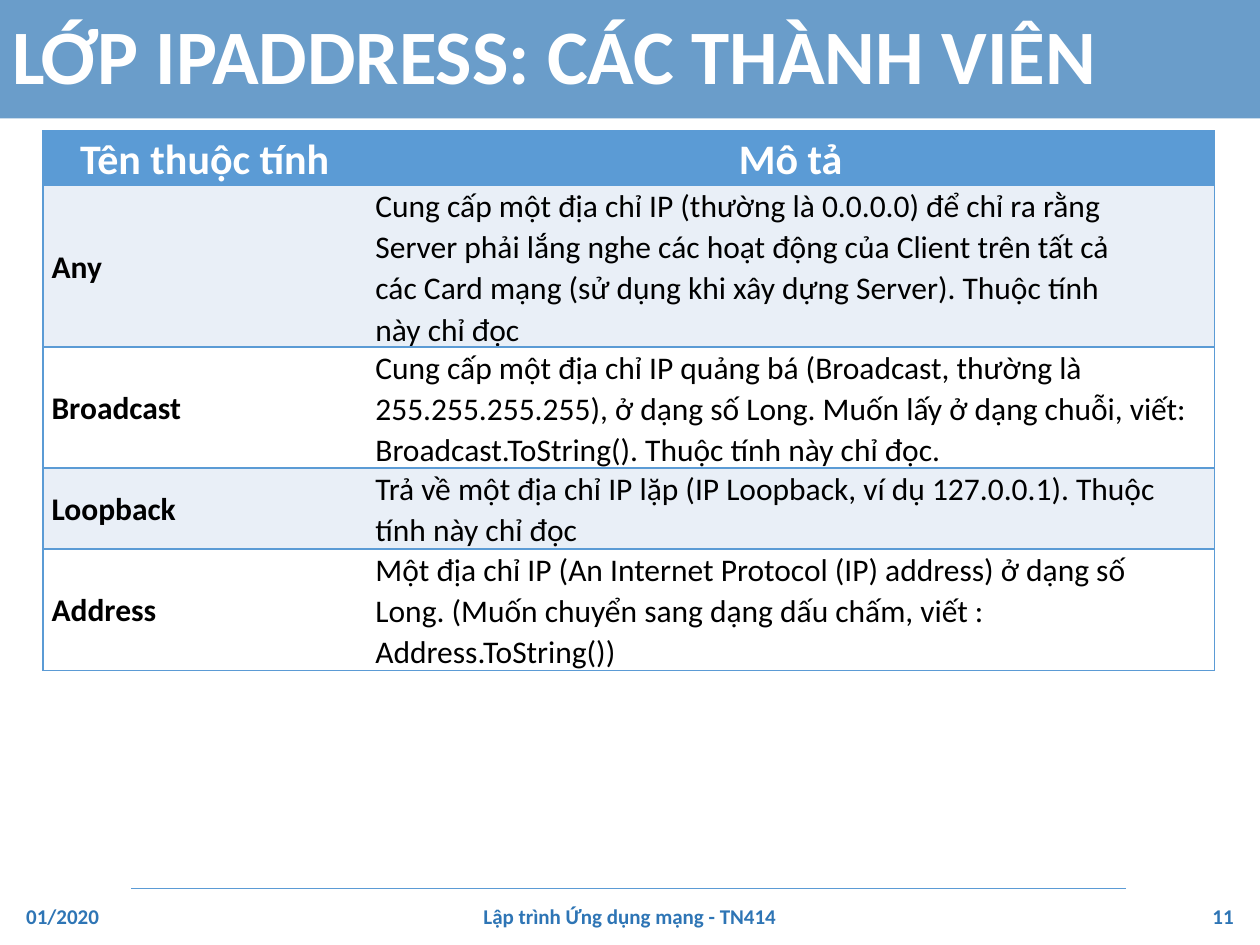
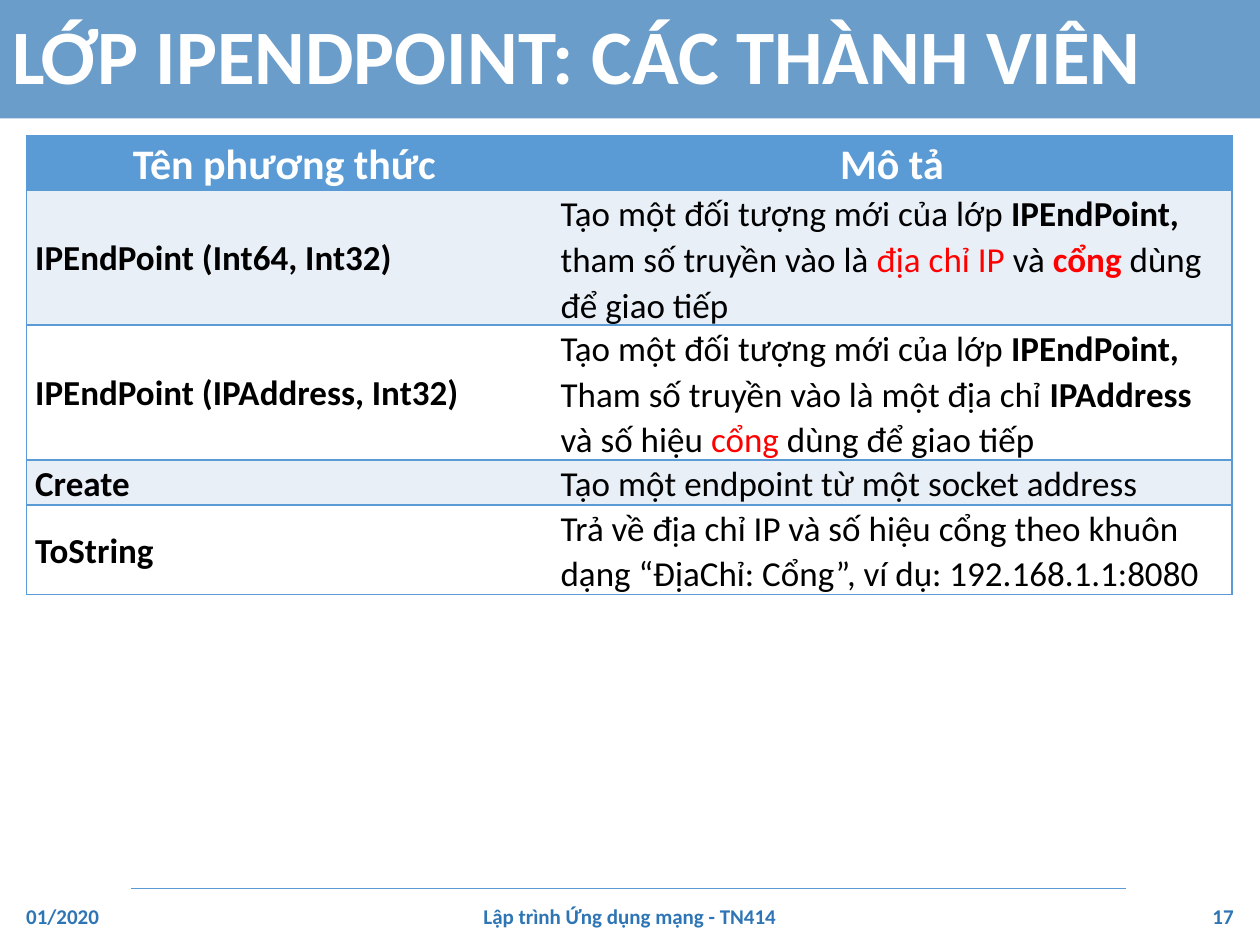
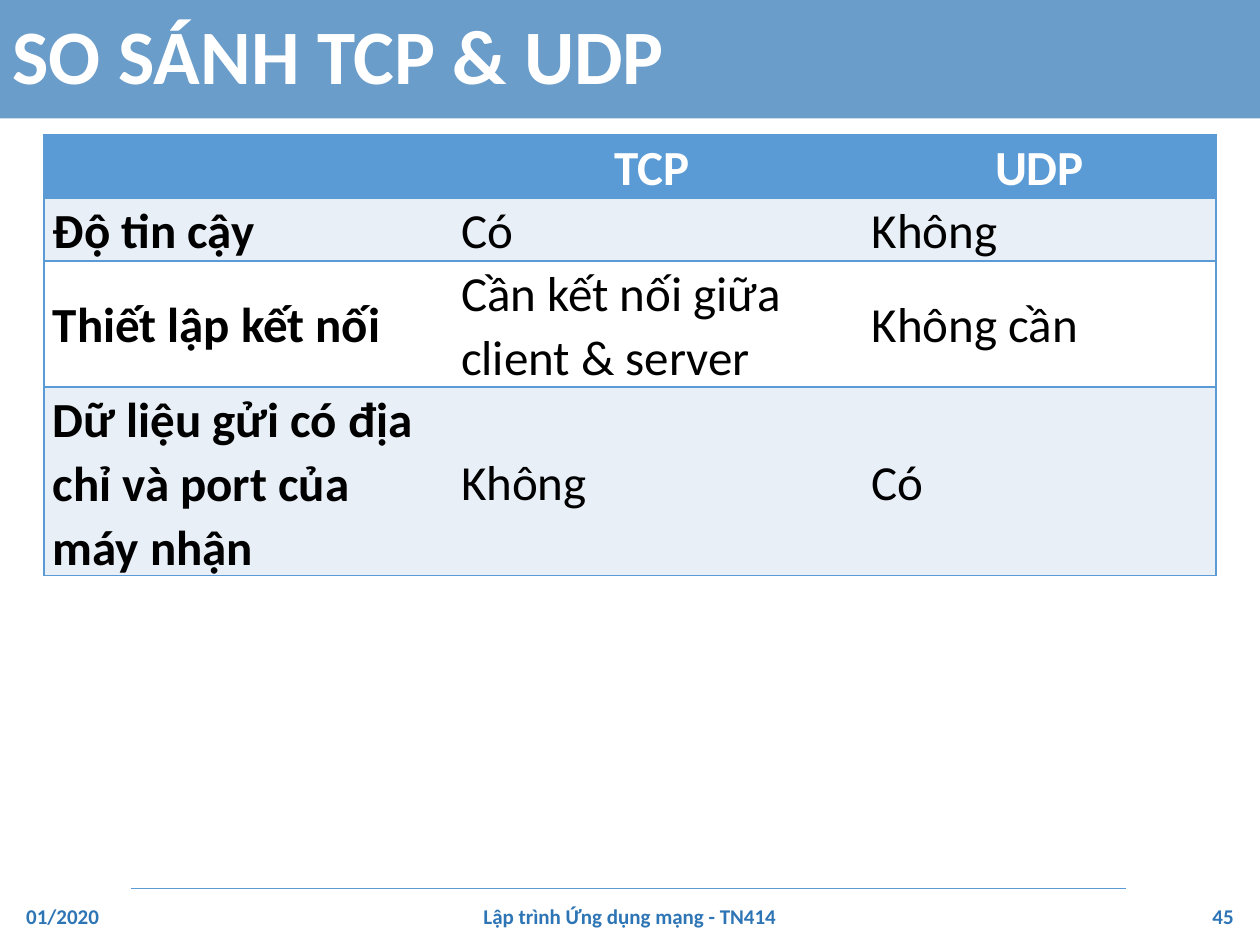
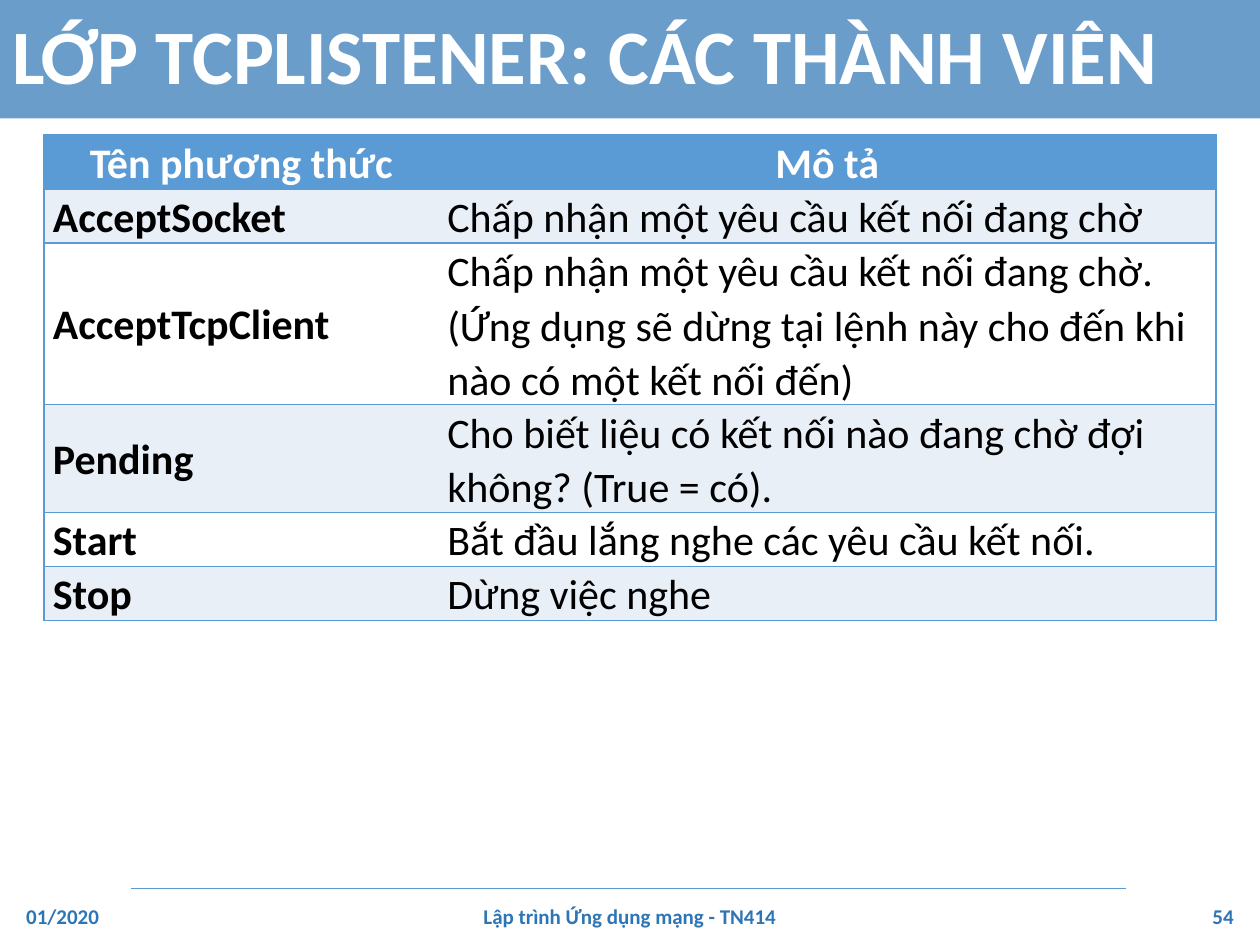
from lxml import etree
from pptx import Presentation
from pptx.dml.color import RGBColor
from pptx.enum.shapes import MSO_CONNECTOR
from pptx.enum.text import MSO_ANCHOR, MSO_AUTO_SIZE, PP_ALIGN
from pptx.oxml.ns import qn
from pptx.util import Inches, Pt

LEFT, CENTER, RIGHT = PP_ALIGN.LEFT, PP_ALIGN.CENTER, PP_ALIGN.RIGHT
MIDDLE = MSO_ANCHOR.MIDDLE
NO_FIT = MSO_AUTO_SIZE.NONE
STRAIGHT = MSO_CONNECTOR.STRAIGHT

# Shared look
FONT = "Calibri"
BLUE = RGBColor(0x5B, 0x9B, 0xD5)
DARK_BLUE = RGBColor(0x2E, 0x75, 0xB5)
PALE = RGBColor(0xE9, 0xEF, 0xF7)
WHITE = RGBColor(0xFF, 0xFF, 0xFF)
BLACK = RGBColor(0, 0, 0)
RED = RGBColor(0xFF, 0, 0)
TITLE_ONLY = 5
ROW_HEIGHT = 0.35

# Footer parts: left, width, alignment, text (None stands for the slide number)
FOOTERS = [
    (0.11, 0.9, LEFT, "01/2020"),
    (1.05, 7.9, CENTER, "Lập trình Ứng dụng mạng - TN414"),
    (8.99, 0.9, RIGHT, None),
]

# Slide content; a cell is a string or a list of (text, marks): b = bold, r = red
SLIDES = [
    {
        "title": "LỚP IPADDRESS: CÁC THÀNH VIÊN", "number": 11,
        "at": (0.34, 1.04), "cols": (2.57, 6.73), "head_size": 24, "size": 18,
        "rows": [
            ("Tên thuộc tính", "Mô tả"),
            ("Any",
             "Cung cấp một địa chỉ IP (thường là 0.0.0.0) để chỉ ra rằng\n"
             "Server phải lắng nghe các hoạt động của Client trên tất cả\n"
             "các Card mạng (sử dụng khi xây dựng Server). Thuộc tính\n"
             "này chỉ đọc"),
            ("Broadcast",
             "Cung cấp một địa chỉ IP quảng bá (Broadcast, thường là\n"
             "255.255.255.255), ở dạng số Long. Muốn lấy ở dạng chuỗi, viết: "
             "Broadcast.ToString(). Thuộc tính này chỉ đọc."),
            ("Loopback",
             "Trả về một địa chỉ IP lặp (IP Loopback, ví dụ 127.0.0.1). "
             "Thuộc tính này chỉ đọc"),
            ("Address",
             "Một địa chỉ IP (An Internet Protocol (IP) address) ở dạng số\n"
             "Long. (Muốn chuyển sang dạng dấu chấm, viết : "
             "Address.ToString())"),
        ],
    },
    {
        "title": "LỚP IPENDPOINT: CÁC THÀNH VIÊN", "number": 17,
        "at": (0.21, 1.08), "cols": (4.17, 5.4), "head_size": 24, "size": 20,
        "rows": [
            ("Tên phương thức ", "Mô tả"),
            ("IPEndPoint (Int64, Int32)",
             [("Tạo một đối tượng mới của lớp ", ""), ("IPEndPoint, ", "b"),
              ("tham số truyền vào là ", ""), ("địa chỉ IP ", "r"),
              ("và ", ""), ("cổng ", "br"), ("dùng để giao tiếp", "")]),
            ("IPEndPoint (IPAddress, Int32)",
             [("Tạo một đối tượng mới của lớp ", ""), ("IPEndPoint, ", "b"),
              ("Tham số truyền vào là một địa chỉ ", ""), ("IPAddress ", "b"),
              ("và số hiệu ", ""), ("cổng ", "r"), ("dùng để giao tiếp", "")]),
            ("Create", "Tạo một endpoint từ một socket address"),
            ("ToString",
             "Trả về địa chỉ IP và số hiệu cổng theo khuôn dạng "
             "“ĐịaChỉ: Cổng”, ví dụ: 192.168.1.1:8080"),
        ],
    },
    {
        "title": "SO SÁNH TCP & UDP", "number": 45,
        "at": (0.35, 1.07), "cols": (3.24, 3.26, 2.8), "head_size": 28, "size": 28,
        "rows": [
            ("", "TCP ", "UDP"),
            ("Độ tin cậy", "Có", "Không"),
            ("Thiết lập kết nối", "Cần kết nối giữa client & server", "Không cần"),
            ("Dữ liệu gửi có địa chỉ và port của máy nhận", "Không", "Có"),
        ],
    },
    {
        "title": "LỚP TCPLISTENER: CÁC THÀNH VIÊN", "number": 54,
        "at": (0.35, 1.07), "cols": (3.13, 6.17), "head_size": 24, "size": 24,
        "rows": [
            ("Tên phương thức", "Mô tả"),
            ("AcceptSocket", "Chấp nhận một yêu cầu kết nối đang chờ"),
            ("AcceptTcpClient",
             "Chấp nhận một yêu cầu kết nối đang chờ. (Ứng dụng sẽ dừng tại "
             "lệnh này cho đến khi nào có một kết nối đến)"),
            ("Pending",
             "Cho biết liệu có kết nối nào đang chờ đợi không? (True = có)."),
            ("Start", "Bắt đầu lắng nghe các yêu cầu kết nối."),
            ("Stop", "Dừng việc nghe"),
        ],
    },
]


def style_run(r, size, color, bold):
    r.font.name = FONT
    r.font.size = Pt(size)
    r.font.bold = bold
    r.font.color.rgb = color


def add_title(s, text):
    sp = s.shapes.title
    sp.left, sp.top, sp.width, sp.height = 0, 0, Inches(10), Inches(0.94)
    sp.fill.solid()
    sp.fill.fore_color.rgb = DARK_BLUE
    color = sp.fill._xPr.find(qn("a:solidFill"))[0]
    etree.SubElement(color, qn("a:alpha"), val="71000")
    tf = sp.text_frame
    tf.text = text
    tf.word_wrap = True
    tf.auto_size = NO_FIT
    tf.vertical_anchor = MIDDLE
    p = tf.paragraphs[0]
    p.alignment = LEFT
    p.line_spacing = 0.9
    style_run(p.runs[0], 44, WHITE, True)


def add_footer(s, number):
    line = s.shapes.add_connector(
        STRAIGHT, Inches(1.04), Inches(7.05), Inches(8.94), Inches(7.05))
    line.line.color.rgb = BLUE
    line.line.width = Pt(0.75)
    etree.SubElement(line._element.spPr, qn("a:effectLst"))
    for left, width, align, text in FOOTERS:
        box = s.shapes.add_textbox(
            Inches(left), Inches(7.07), Inches(width), Inches(0.4))
        tf = box.text_frame
        tf.text = text or str(number)
        tf.word_wrap = True
        tf.vertical_anchor = MIDDLE
        p = tf.paragraphs[0]
        p.alignment = align
        style_run(p.runs[0], 12, DARK_BLUE, True)


def set_borders(cell, sides):
    """Draw the given sides (of L, R, T, B) and clear the others."""
    tcPr = cell._tc.get_or_add_tcPr()
    for side in "LRTB":
        ln = etree.SubElement(tcPr, qn("a:ln" + side), w=str(Pt(1)))
        if side in sides:
            fill = etree.SubElement(ln, qn("a:solidFill"))
            etree.SubElement(fill, qn("a:srgbClr"), val=str(BLUE))
        else:
            etree.SubElement(ln, qn("a:noFill"))


def fill_cell(cell, content, size, header, first):
    cell.vertical_anchor = MIDDLE
    cell.margin_left = cell.margin_right = Inches(0.07)
    cell.margin_top = cell.margin_bottom = 0
    p = cell.text_frame.paragraphs[0]
    p.alignment = CENTER if header else LEFT
    p.line_spacing = 1.07
    if isinstance(content, str):
        p.text = content
        for r in p.runs:
            style_run(r, size, WHITE if header else BLACK, header or first)
    else:
        for text, marks in content:
            r = p.add_run()
            r.text = text
            style_run(r, size, RED if "r" in marks else BLACK, "b" in marks)


def add_table(s, spec_rows, at, cols, head_size, size):
    left, top = at
    table = s.shapes.add_table(
        len(spec_rows), len(cols), Inches(left), Inches(top),
        Inches(sum(cols)), Inches(ROW_HEIGHT * len(spec_rows))).table
    for column, width in zip(table.columns, cols):
        column.width = Inches(width)
    for i, row in enumerate(spec_rows):
        table.rows[i].height = Inches(ROW_HEIGHT)
        header = i == 0
        for j, content in enumerate(row):
            cell = table.cell(i, j)
            sides = "TB" + ("L" if j == 0 else "") + ("R" if j == len(cols) - 1 else "")
            set_borders(cell, sides)
            cell.fill.solid()
            cell.fill.fore_color.rgb = BLUE if header else PALE if i % 2 else WHITE
            fill_cell(cell, content, head_size if header else size, header, j == 0)


def main():
    prs = Presentation()
    prs.slide_width, prs.slide_height = Inches(10), Inches(7.5)
    for item in SLIDES:
        s = prs.slides.add_slide(prs.slide_layouts[TITLE_ONLY])
        add_title(s, item["title"])
        add_footer(s, item["number"])
        add_table(s, item["rows"], item["at"], item["cols"],
                  item["head_size"], item["size"])
    prs.save("out.pptx")


if __name__ == "__main__":
    main()
